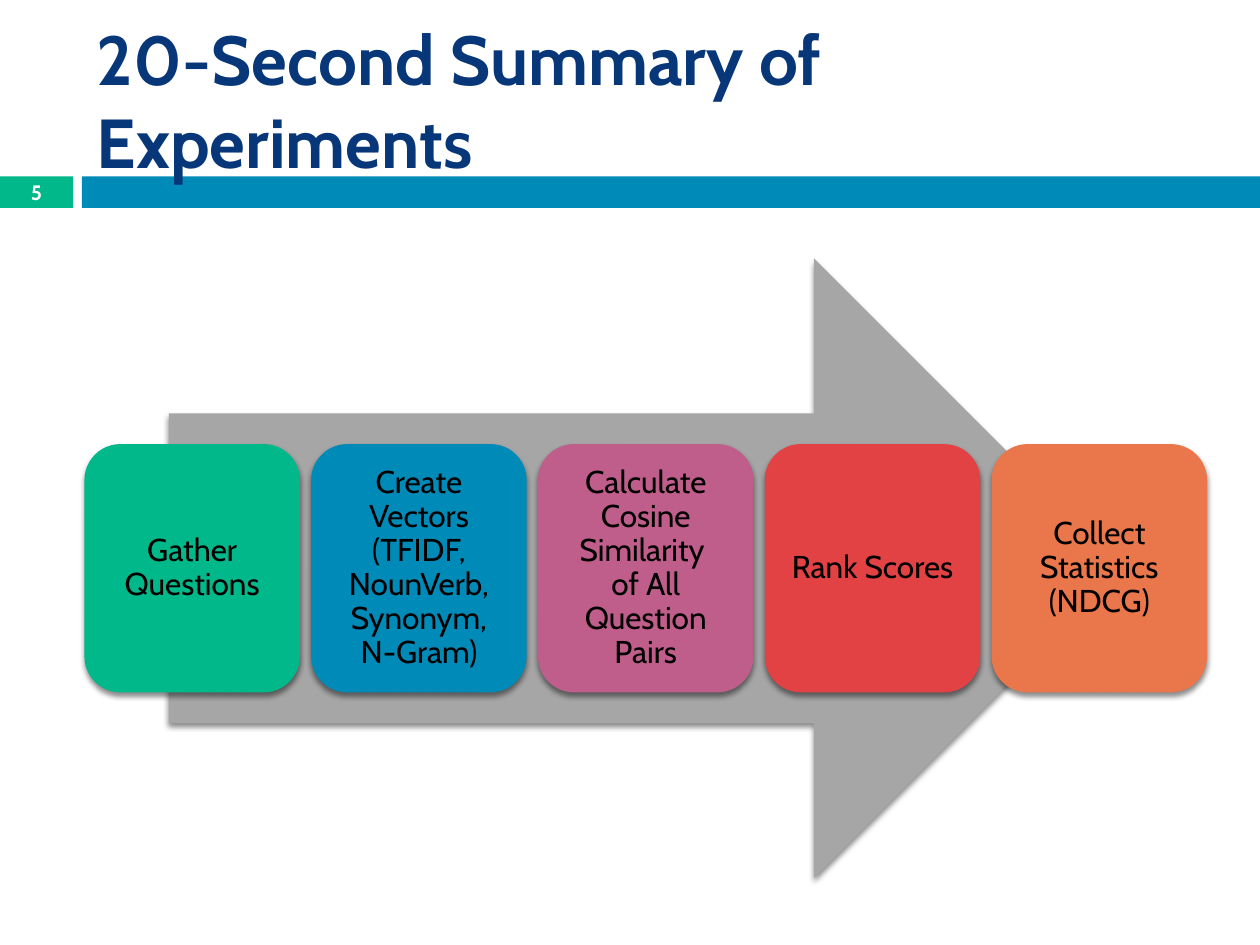
from dataclasses import dataclass

from lxml.etree import SubElement
from pptx import Presentation
from pptx.dml.color import RGBColor
from pptx.enum.shapes import MSO_SHAPE
from pptx.enum.text import MSO_ANCHOR, PP_ALIGN
from pptx.oxml.ns import qn
from pptx.util import Inches, Pt


@dataclass(frozen=True)
class Theme:
    font: str = "Cabin"
    title: str = "073779"
    green: str = "00B88A"
    blue: str = "008AB8"
    purple: str = "BF5D8B"
    red: str = "E24244"
    orange: str = "EA764B"
    gray: str = "A6A6A6"
    white: str = "FFFFFF"
    black: str = "000000"
    title_size: float = 39.6
    step_size: float = 18
    number_size: float = 11.9


T = Theme()
WIDTH, HEIGHT = 10, 7.5

# Step grid: equal columns from a left edge, centred on the arrow
LEFT, PITCH, STEP_W, STEP_H = 0.67, 1.8, 1.71, 1.97
ARROW = (1.34, 2.05, 7.58, 4.92)
STEP_TOP = ARROW[1] + (ARROW[3] - STEP_H) / 2

STEPS = [
    ("Gather Questions", T.green),
    ("Create Vectors (TFIDF, NounVerb, Synonym, N-Gram)", T.blue),
    ("Calculate Cosine Similarity \vof All Question Pairs", T.purple),
    ("Rank Scores", T.red),
    ("Collect Statistics (NDCG)", T.orange),
]


def add_block(s, kind, box, color):
    sp = s.shapes.add_shape(kind, *map(Inches, box))
    sp.shadow.inherit = False
    sp.fill.solid()
    sp.fill.fore_color.rgb = RGBColor.from_string(color)
    sp.line.fill.background()
    return sp


def add_shadow(sp):
    effects = sp._element.spPr.find(qn("a:effectLst"))
    shadow = SubElement(effects, qn("a:outerShdw"), blurRad=str(Pt(3)),
                        dist=str(Pt(2.4)), dir="5400000", rotWithShape="0")
    color = SubElement(shadow, qn("a:srgbClr"), val=T.black)
    SubElement(color, qn("a:alpha"), val="45000")


def set_text(sp, text, size, color, bold=False, align=PP_ALIGN.CENTER,
             inset=None, spacing=None):
    tf = sp.text_frame
    frame = {"word_wrap": True, "vertical_anchor": MSO_ANCHOR.MIDDLE}
    if inset is not None:
        for side in ("left", "top", "right", "bottom"):
            frame[f"margin_{side}"] = Inches(inset)
    for name, value in frame.items():
        setattr(tf, name, value)
    p = tf.paragraphs[0]
    p.text = text
    p.alignment = align
    p.line_spacing = spacing
    for r in p.runs:
        for name, value in {"name": T.font, "size": Pt(size), "bold": bold}.items():
            setattr(r.font, name, value)
        r.font.color.rgb = RGBColor.from_string(color)


def add_header(s):
    bar_top, bar_h, number_w, bar_left = 1.4, 0.25, 0.58, 0.65
    number = add_block(s, MSO_SHAPE.RECTANGLE, (0, bar_top, number_w, bar_h), T.green)
    set_text(number, "5", T.number_size, T.white, bold=True, inset=0)
    add_block(s, MSO_SHAPE.RECTANGLE,
              (bar_left, bar_top, WIDTH - bar_left, bar_h), T.blue)
    title = s.shapes.add_textbox(*map(Inches, (LEFT, 0.25, 8.92, 1.08)))
    set_text(title, "20-Second Summary of Experiments", T.title_size, T.title,
             bold=True, align=PP_ALIGN.LEFT)


def add_step(s, column, text, color):
    box = (LEFT + column * PITCH, STEP_TOP, STEP_W, STEP_H)
    sp = add_block(s, MSO_SHAPE.ROUNDED_RECTANGLE, box, color)
    add_shadow(sp)
    set_text(sp, text, T.step_size, T.black, inset=0.07, spacing=0.9)


def main():
    prs = Presentation()
    prs.slide_width, prs.slide_height = Inches(WIDTH), Inches(HEIGHT)
    s = prs.slides.add_slide(prs.slide_layouts[6])

    # Title, bars and slide number
    add_header(s)

    # Process arrow with its steps in front
    add_shadow(add_block(s, MSO_SHAPE.RIGHT_ARROW, ARROW, T.gray))
    for column, (text, color) in enumerate(STEPS):
        add_step(s, column, text, color)

    prs.save("out.pptx")


if __name__ == "__main__":
    main()
